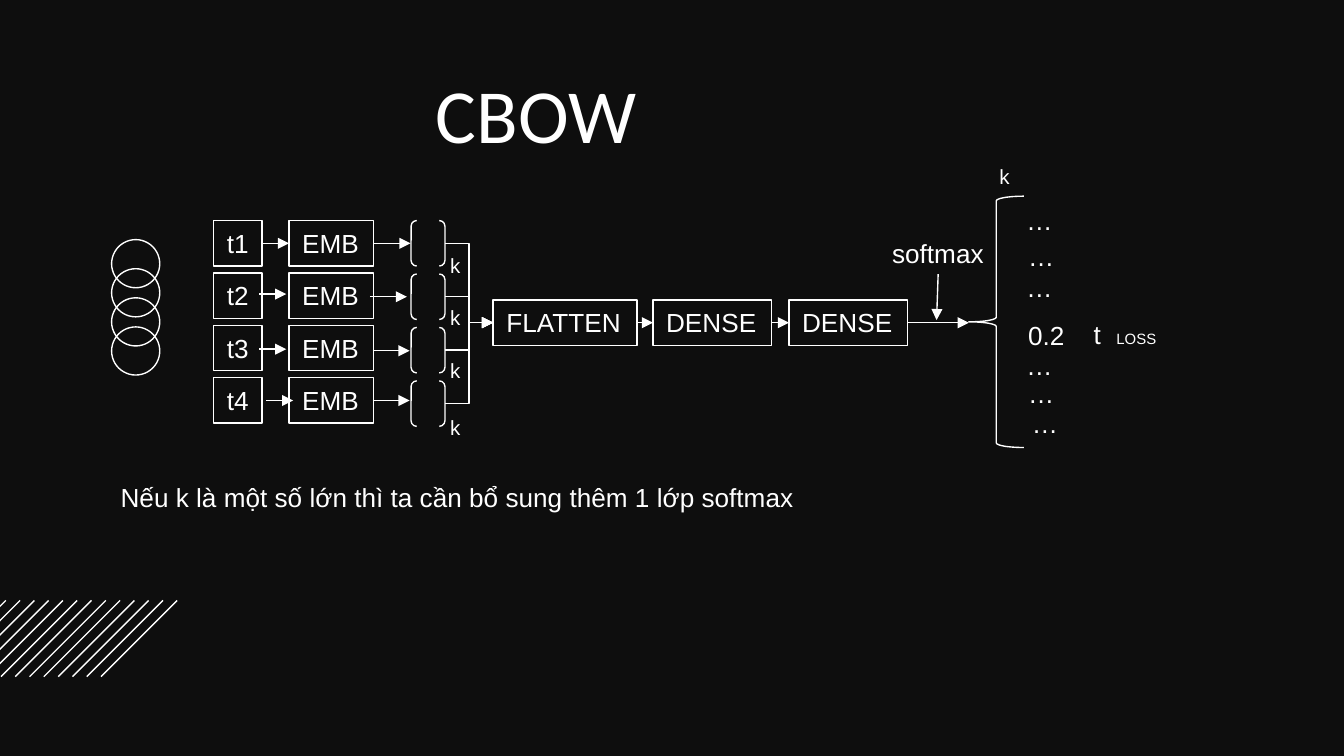
import pptx
import pptx.util
import pptx.oxml
import pptx.oxml.ns
from pptx.dml.color import RGBColor
from pptx.enum.shapes import MSO_CONNECTOR, MSO_SHAPE
from pptx.enum.text import MSO_ANCHOR, MSO_AUTO_SIZE, PP_ALIGN

Cm = pptx.util.Cm
Pt = pptx.util.Pt
COLORS = {"background": "0E0E0E", "ink": "FFFFFF"}
INK = RGBColor.from_string(COLORS["ink"])
BOX_H = 0.86
MID_Y = 6.1

prs = pptx.Presentation()
prs.slide_width, prs.slide_height = Cm(25.4), Cm(14.29)
s = prs.slides.add_slide(prs.slide_layouts[5])
s.background.fill.solid()
s.background.fill.fore_color.rgb = RGBColor.from_string(COLORS["background"])


def add_item(x, y, w, h, text="", preset=None, size=14, wrap=False):
    """Add an outlined preset shape, or a plain text box if there is no preset."""
    box = Cm(x), Cm(y), Cm(w), Cm(h)
    if preset is None:
        sp = s.shapes.add_textbox(*box)
    else:
        sp = s.shapes.add_shape(preset, *box)
        sp.shadow.inherit = False
        sp.fill.background()
        sp.line.color.rgb = INK
        sp.line.width = Pt(0.75)
    if text:
        tf = sp.text_frame
        tf.text = text
        tf.word_wrap = wrap
        p = tf.paragraphs[0]
        p.alignment = PP_ALIGN.LEFT
        tf.vertical_anchor = MSO_ANCHOR.TOP
        r = p.runs[0]
        r.font.name, r.font.size = "Arial", Pt(size)
        r.font.color.rgb = INK


def add_line(x1, y1, x2, y2, kind=MSO_CONNECTOR.STRAIGHT, arrow=True):
    cx = s.shapes.add_connector(kind, Cm(x1), Cm(y1), Cm(x2), Cm(y2))
    cx.line.color.rgb = INK
    cx.line.width = Pt(0.75)
    if arrow:
        ln = cx.line._get_or_add_ln()
        tail = pptx.oxml.parse_xml(f'<a:tailEnd {pptx.oxml.ns.nsdecls("a")} type="triangle"/>')
        ln.append(tail)
    effects = pptx.oxml.parse_xml(f'<a:effectLst {pptx.oxml.ns.nsdecls("a")}/>')
    cx._element.spPr.append(effects)


# Decoration: diagonal stripes and overlapping rings
for i in range(13):
    x = 1.91 - 0.27 * i
    add_line(x + 1.44, 11.35, x, 12.79, arrow=False)
for i in range(4):
    add_item(2.11, 4.53 + 0.55 * i, 0.91, 0.91, preset=MSO_SHAPE.OVAL)

# Title
title = s.shapes.title
title.left, title.top, title.width, title.height = Cm(1.45), Cm(1.27), Cm(17.37), Cm(1.73)
tf = title.text_frame
tf.text = "CBOW"
tf.auto_size = MSO_AUTO_SIZE.NONE
tf.vertical_anchor = MSO_ANCHOR.TOP
tf.margin_top, tf.margin_bottom = Cm(0), Cm(0.25)
p = tf.paragraphs[0]
p.alignment = PP_ALIGN.CENTER
r = p.runs[0]
r.font.name, r.font.size = "Calibri", Pt(41)
r.font.color.rgb = INK

# Token rows: token box, embedding box, vector brackets, size label
# Each row: start x, y of the token arrow; start x, y of the embedding arrow; label y
rows = [
    (4.95, 4.6, 7.06, 4.6, 4.65),
    (4.9, 5.56, 6.99, 5.61, 5.64),
    (4.9, 6.6, 7.04, 6.63, 6.65),
    (5.03, 7.57, 7.04, 7.57, 7.72),
]
for i, (token_x, token_y, emb_x, emb_y, label_y) in enumerate(rows):
    top = 4.17 + 0.99 * i
    bracket_top = 4.17 + 1.01 * i
    add_item(4.04, top, 0.91, BOX_H, f"t{i + 1}", MSO_SHAPE.RECTANGLE)
    add_item(5.46, top, 1.6, BOX_H, "EMB", MSO_SHAPE.RECTANGLE)
    add_item(7.77, bracket_top, 0.64, BOX_H, preset=MSO_SHAPE.DOUBLE_BRACKET)
    add_line(token_x, token_y, token_x + 0.51, token_y)
    add_line(emb_x, emb_y, emb_x + 0.7, emb_y)
    add_line(8.41, bracket_top + BOX_H / 2, 9.32, MID_Y, MSO_CONNECTOR.ELBOW)
    add_item(8.26, label_y, 0.71, 0.74, "k", size=11)

# Dense layers, each with an arrow to the next stage
layers = [("FLATTEN", 9.32, 2.72, 12.34), ("DENSE", 12.34, 2.24, 14.91), ("DENSE", 14.91, 2.24, 18.31)]
for name, x, w, next_x in layers:
    add_item(x, MID_Y - BOX_H / 2, w, BOX_H, name, MSO_SHAPE.RECTANGLE)
    add_line(x + w, MID_Y, next_x, MID_Y)

# Output vector
add_item(18.31, 3.71, 1.04, 4.75, preset=MSO_SHAPE.LEFT_BRACE)
for x, y in [(19.15, 3.73), (19.18, 4.42), (19.15, 5), (19.15, 6.48), (19.18, 7.01), (19.25, 7.57)]:
    add_item(x, y, 1.02, BOX_H, "…")
add_item(19.18, 5.92, 1.19, BOX_H, "0.2")
add_item(20.42, 5.89, 0.66, BOX_H, "t")
add_item(20.85, 6.1, 1.27, 0.61, "LOSS", size=8)
add_item(18.64, 2.97, 0.71, 0.74, "k", size=11)

# Softmax note
add_item(16.61, 4.37, 2.26, BOX_H, "softmax")
add_line(17.73, 5.18, 17.7, 6.05)
add_item(2.03, 8.97, 13.64, BOX_H, "Nếu k là một số lớn thì ta cần bổ sung thêm 1 lớp softmax", wrap=True)

prs.save("out.pptx")
